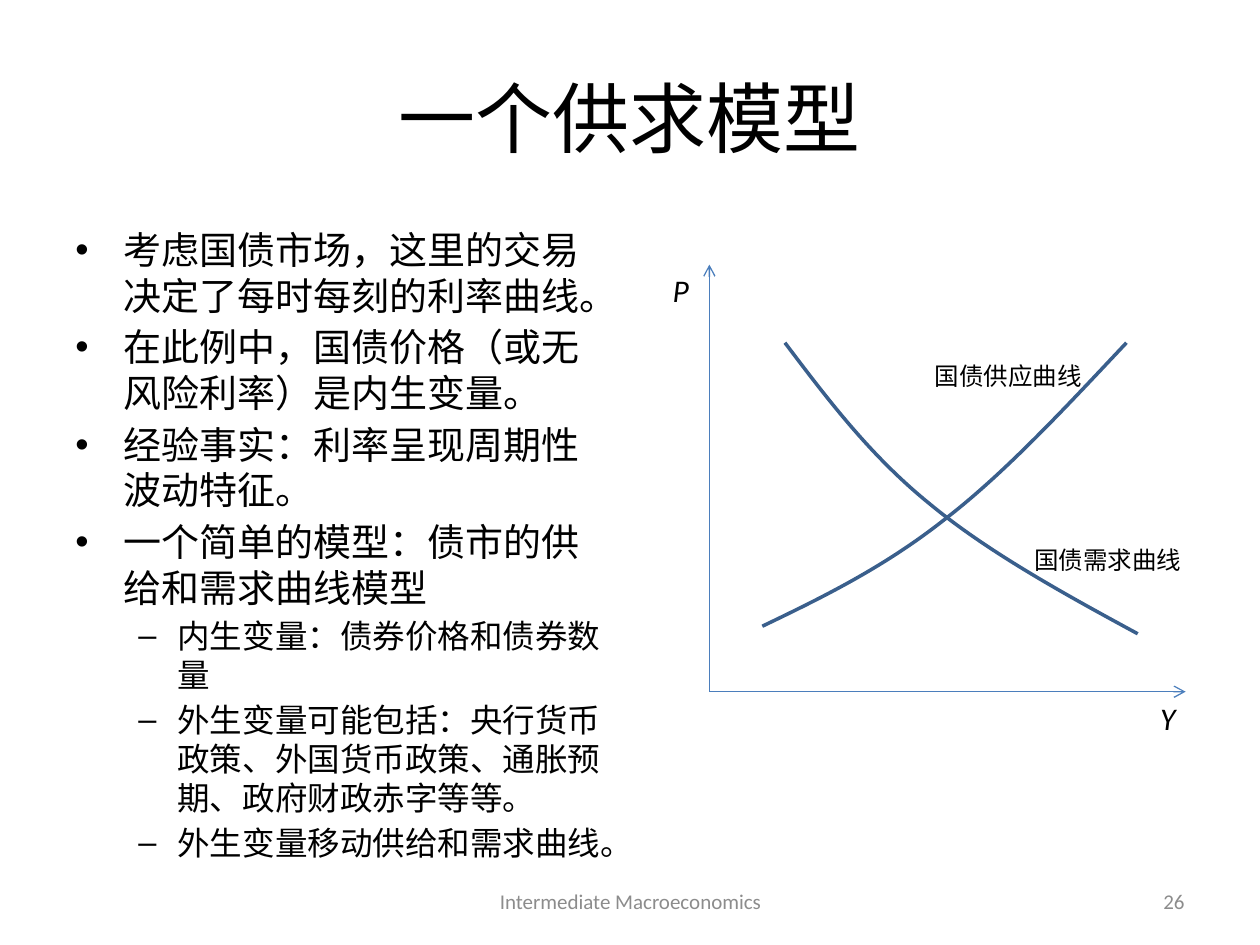
from lxml.etree import SubElement
from pptx import Presentation
from pptx.dml.color import RGBColor
from pptx.enum.shapes import MSO_CONNECTOR
from pptx.enum.text import MSO_ANCHOR, PP_ALIGN
from pptx.oxml.ns import qn
from pptx.util import Inches, Pt

COLORS = {"text": "000000", "footer": "8C8C8C", "axis": "4B7EBC", "curve": "3A5F8C"}
FONT = "Calibri"

# Level, text
BULLETS = [
    (0, "考虑国债市场，这里的交易决定了每时每刻的利率曲线。"),
    (0, "在此例中，国债价格（或无风险利率）是内生变量。"),
    (0, "经验事实：利率呈现周期性波动特征。"),
    (0, "一个简单的模型：债市的供给和需求曲线模型"),
    (1, "内生变量：债券价格和债券数量"),
    (1, "外生变量可能包括：央行货币政策、外国货币政策、通胀预期、政府财政赤字等等。"),
    (1, "外生变量移动供给和需求曲线。"),
]
# Bullet character, size, left margin, indent
LEVELS = [("•", 21.7, 0.38, -0.38), ("–", 18.6, 0.81, -0.31)]

# Start point, then two control points and an end point per segment
DEMAND = [(6.23, 2.72), (6.57, 3.17), (6.91, 3.62), (7.38, 4),
          (7.84, 4.38), (8.44, 4.71), (9.03, 5.03)]
SUPPLY = [(6.05, 4.97), (6.53, 4.74), (7.02, 4.5), (7.5, 4.12),
          (7.98, 3.75), (8.46, 3.23), (8.94, 2.72)]


def rgb(name):
    return RGBColor.from_string(COLORS[name])


def format_paragraph(paragraph, size, color="text", align=PP_ALIGN.LEFT, italic=False):
    paragraph.alignment = align
    font = paragraph.font
    font.name, font.size, font.italic = FONT, Pt(size), italic
    font.color.rgb = rgb(color)


def add_text_box(slide, box, wrap=True, anchor=MSO_ANCHOR.TOP):
    frame = slide.shapes.add_textbox(*map(Inches, box)).text_frame
    frame.word_wrap = wrap
    frame.vertical_anchor = anchor
    return frame


def add_label(slide, text, box, size, anchor=MSO_ANCHOR.TOP, **style):
    paragraph = add_text_box(slide, box, anchor=anchor).paragraphs[0]
    paragraph.text = text
    format_paragraph(paragraph, size, **style)


def add_title(slide, text):
    title = slide.shapes.title
    title.left, title.top, title.width, title.height = map(Inches, (0.5, 0.3, 9, 1.25))
    title.text_frame.text = text
    title.text_frame.vertical_anchor = MSO_ANCHOR.MIDDLE
    format_paragraph(title.text_frame.paragraphs[0], 44, align=PP_ALIGN.CENTER)


def add_bullets(slide, box):
    frame = add_text_box(slide, box)
    for index, (level, text) in enumerate(BULLETS):
        paragraph = frame.add_paragraph() if index else frame.paragraphs[0]
        character, size, margin, indent = LEVELS[level]
        paragraph.text = text
        paragraph.level = level
        paragraph.line_spacing = 1.0
        paragraph.space_before = Pt(3.5)
        format_paragraph(paragraph, size)
        properties = paragraph._p.get_or_add_pPr()
        properties.set("marL", str(Inches(margin)))
        properties.set("indent", str(Inches(indent)))
        # Bullet elements come before the default run properties
        font = properties.makeelement(qn("a:buFont"), {"typeface": "Arial"})
        bullet = properties.makeelement(qn("a:buChar"), {"char": character})
        defaults = properties.find(qn("a:defRPr"))
        defaults.addprevious(font)
        defaults.addprevious(bullet)


def add_axis(slide, start, end):
    axis = slide.shapes.add_connector(
        MSO_CONNECTOR.STRAIGHT, *map(Inches, (*start, *end)))
    axis.line.color.rgb = rgb("axis")
    axis.line.width = Pt(0.75)
    SubElement(axis.line._get_or_add_ln(), qn("a:tailEnd"), type="arrow")
    SubElement(axis._element.spPr, qn("a:effectLst"))


def add_curve(slide, points):
    points = [(Inches(x), Inches(y)) for x, y in points]
    builder = slide.shapes.build_freeform(*points[0])
    builder.add_line_segments(points[1:], close=False)
    curve = builder.convert_to_shape()
    curve.shadow.inherit = False
    curve.fill.background()
    curve.line.color.rgb = rgb("curve")
    curve.line.width = Pt(2)
    # Join every three straight steps into one Bézier segment
    steps = list(curve._element.iter(qn("a:lnTo")))
    for first in range(0, len(steps), 3):
        group = steps[first:first + 3]
        bezier = group[0].makeelement(qn("a:cubicBezTo"), {})
        group[0].addprevious(bezier)
        for step in group:
            bezier.append(step[0])
            step.getparent().remove(step)


def main():
    presentation = Presentation()
    presentation.slide_width, presentation.slide_height = Inches(10), Inches(7.5)
    slide = presentation.slides.add_slide(presentation.slide_layouts[5])

    add_title(slide, "一个供求模型")
    add_bullets(slide, (0.5, 1.75, 4.42, 4.95))

    # Footer
    add_label(slide, "Intermediate Macroeconomics", (3.42, 6.95, 3.17, 0.4), 12,
              MSO_ANCHOR.MIDDLE, color="footer", align=PP_ALIGN.CENTER)
    add_label(slide, "26", (7.17, 6.95, 2.33, 0.4), 12,
              MSO_ANCHOR.MIDDLE, color="footer", align=PP_ALIGN.RIGHT)

    # Axes
    origin = (5.63, 5.49)
    add_axis(slide, origin, (9.41, 5.49))
    add_axis(slide, origin, (5.63, 2.1))
    add_label(slide, "P", (5.24, 2.1, 0.39, 0.4), 18, italic=True)
    add_label(slide, "Y", (9.11, 5.5, 0.39, 0.4), 18, italic=True)

    # Demand and supply
    add_curve(slide, DEMAND)
    add_curve(slide, SUPPLY)
    add_label(slide, "国债供应曲线", (7.32, 2.82, 1.83, 0.34), 14)
    add_label(slide, "国债需求曲线", (8.11, 4.28, 1.42, 0.34), 14)

    presentation.save("out.pptx")


if __name__ == "__main__":
    main()
